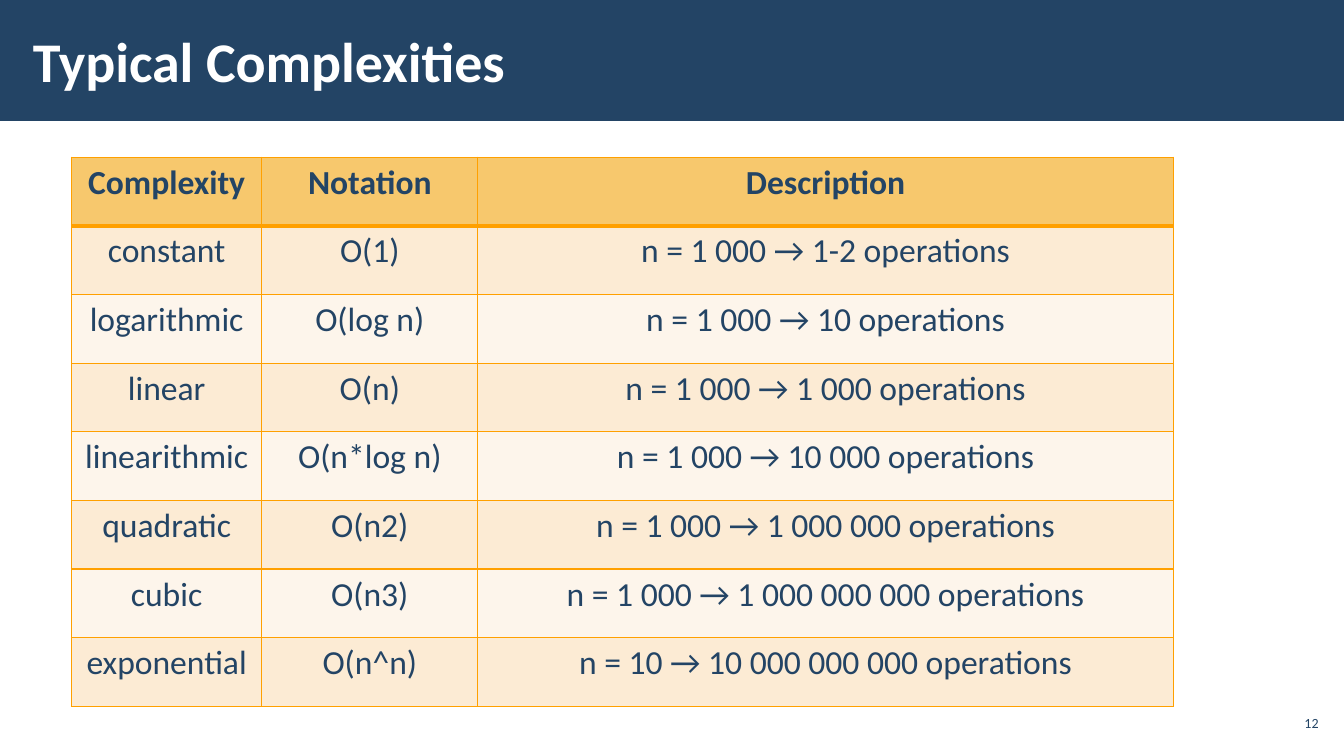
"""Build the Typical Complexities slide with its table of growth rates."""
import pptx
import pptx.dml.color
import pptx.enum.shapes
import pptx.enum.text
import pptx.oxml
import pptx.oxml.ns
import pptx.util

Cm = pptx.util.Cm
Pt = pptx.util.Pt
ALIGN = pptx.enum.text.PP_ALIGN
MIDDLE = pptx.enum.text.MSO_ANCHOR.MIDDLE

TITLE = "Typical Complexities"
PAGE_NUMBER = "12"
ROWS = [
    ("Complexity", "Notation", "Description"),
    ("constant", "O(1)", "n = 1 000 → 1-2 operations"),
    ("logarithmic", "O(log n)", "n = 1 000 → 10 operations"),
    ("linear", "O(n)", "n = 1 000 → 1 000 operations"),
    ("linearithmic", "O(n*log n)", "n = 1 000 → 10 000 operations"),
    ("quadratic", "O(n2)", "n = 1 000 → 1 000 000 operations"),
    ("cubic", "O(n3)", "n = 1 000 → 1 000 000 000 operations"),
    ("exponential", "O(n^n)", "n = 10 → 10 000 000 000 operations"),
]
COLORS = {
    "navy": "234465",
    "white": "FFFFFF",
    "border": "FFA000",
    "header": "F7C86D",
    "odd_row": "FCEBD4",
    "even_row": "FDF5EB",
}
FONT = "Calibri"
SLIDE_WIDTH, SLIDE_HEIGHT = Cm(33.87), Cm(19.05)
COLUMN_WIDTHS = [Cm(4.8), Cm(5.44), Cm(17.53)]
ROW_HEIGHT = Cm(1.73)


def rgb(name):
    return pptx.dml.color.RGBColor.from_string(COLORS[name])


def write(text_frame, text, size, color, bold=False, align=ALIGN.LEFT):
    text_frame.text = text
    paragraph = text_frame.paragraphs[0]
    paragraph.alignment = align
    font = paragraph.runs[0].font
    font.name, font.size, font.bold = FONT, Pt(size), bold
    font.color.rgb = rgb(color)


def add_label(slide, box, margins, text, *style):
    text_frame = slide.shapes.add_textbox(*box).text_frame
    text_frame.word_wrap = True
    text_frame.vertical_anchor = MIDDLE
    text_frame.margin_left = text_frame.margin_right = margins[0]
    text_frame.margin_top = text_frame.margin_bottom = margins[1]
    write(text_frame, text, *style)


def set_borders(cell, widths):
    properties = cell._tc.get_or_add_tcPr()
    for index, (side, points) in enumerate(widths.items()):
        line = pptx.oxml.parse_xml(
            f'<a:ln{side} {pptx.oxml.ns.nsdecls("a")} w="{Pt(points)}">'
            f'<a:solidFill><a:srgbClr val="{COLORS["border"]}"/></a:solidFill>'
            f'</a:ln{side}>')
        properties.insert(index, line)


def add_complexity_table(slide):
    table = slide.shapes.add_table(
        len(ROWS), len(COLUMN_WIDTHS), Cm(1.8), Cm(3.96),
        sum(COLUMN_WIDTHS), ROW_HEIGHT * len(ROWS)).table
    for column, width in zip(table.columns, COLUMN_WIDTHS):
        column.width = width
    for row_index, texts in enumerate(ROWS):
        table.rows[row_index].height = ROW_HEIGHT
        is_header = row_index == 0
        band = "header" if is_header else ("even_row", "odd_row")[row_index % 2]
        widths = {"L": 1, "R": 1, "T": 3 if row_index == 1 else 1,
                  "B": 3 if is_header else 1}
        for column_index, text in enumerate(texts):
            cell = table.cell(row_index, column_index)
            write(cell.text_frame, text, 24, "navy", is_header, ALIGN.CENTER)
            cell.fill.solid()
            cell.fill.fore_color.rgb = rgb(band)
            set_borders(cell, widths)


presentation = pptx.Presentation()
presentation.slide_width, presentation.slide_height = SLIDE_WIDTH, SLIDE_HEIGHT
slide = presentation.slides.add_slide(presentation.slide_layouts[6])

title_band = slide.shapes.add_shape(
    pptx.enum.shapes.MSO_SHAPE.RECTANGLE, 0, 0, SLIDE_WIDTH, Cm(3.05))
title_band.shadow.inherit = False
title_band.fill.solid()
title_band.fill.fore_color.rgb = rgb("navy")
title_band.line.fill.background()

add_label(slide, (Cm(0.53), Cm(0.28), Cm(26.42), Cm(2.46)), (Cm(0.3), Cm(0.1)),
          TITLE, 40, "white", True)
add_label(slide, (Cm(32.13), Cm(17.78), Cm(1.2), Cm(0.86)), (Cm(0.1), Cm(0.1)),
          PAGE_NUMBER, 10, "navy", False, ALIGN.RIGHT)
add_complexity_table(slide)

presentation.save("out.pptx")
